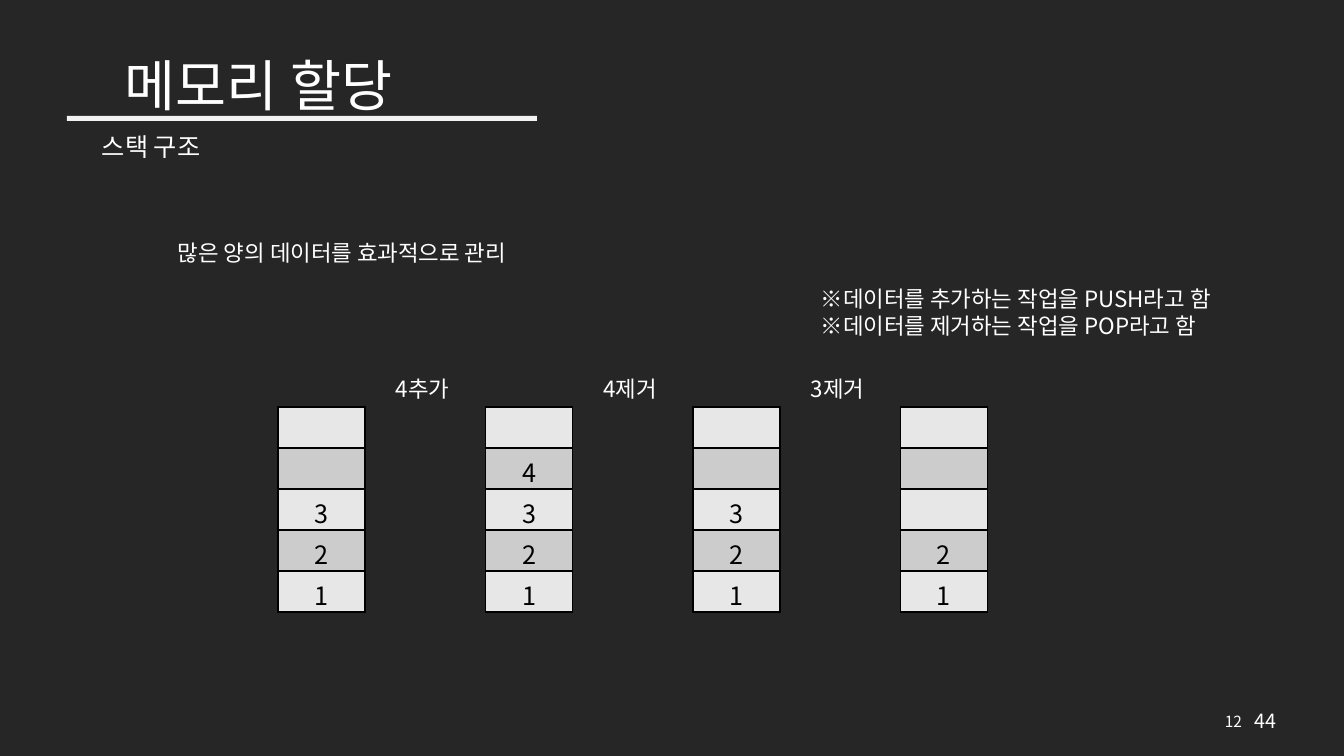
"""Build the memory allocation slide that shows push and pop on a stack."""
import pptx
import pptx.util
import pptx.dml.color
import pptx.enum.shapes
import pptx.enum.text
import pptx.oxml
from dataclasses import dataclass
from lxml import etree

MAIN_NS = "http://schemas.openxmlformats.org/drawingml/2006/main"
ALIGN = pptx.enum.text.PP_ALIGN
ANCHOR = pptx.enum.text.MSO_ANCHOR


@dataclass(frozen=True)
class Theme:
    background: str = "262626"
    light: str = "FFFFFF"
    dark: str = "000000"
    rule: str = "F2F2F2"
    bands: tuple = ("E7E7E7", "CCCCCC")
    font: str = "Noto Sans CJK KR"
    subtitle_font: str = "Calibri"
    title: float = 39.6
    subtitle: float = 18
    cell: float = 18
    body: float = 16
    total: float = 14
    page: float = 11


theme = Theme()


def px(*lengths):
    return [round(length * 914400 / 100.8) for length in lengths]


def write(frame, lines, size, color=theme.light, font=theme.font, align=ALIGN.LEFT, spacing=None):
    for index, line in enumerate(lines):
        paragraph = frame.add_paragraph() if index else frame.paragraphs[0]
        for key, value in {"alignment": align, "line_spacing": spacing}.items():
            setattr(paragraph, key, value)
        run = paragraph.add_run()
        run.text = line
        for key, value in {"name": font, "size": pptx.util.Pt(size)}.items():
            setattr(run.font, key, value)
        run.font.color.rgb = pptx.dml.color.RGBColor.from_string(color)
        etree.SubElement(run.font._element, f"{{{MAIN_NS}}}ea", typeface=font)


deck = pptx.Presentation()
deck.slide_width, deck.slide_height = px(1344, 756)
slide = deck.slides.add_slide(deck.slide_layouts[6])
slide.background.fill.solid()
slide.background.fill.fore_color.rgb = pptx.dml.color.RGBColor.from_string(theme.background)

underline = slide.shapes.add_shape(pptx.enum.shapes.MSO_SHAPE.RECTANGLE, *px(67, 116, 470, 5))
underline.shadow.inherit = False
underline.fill.solid()
underline.fill.fore_color.rgb = pptx.dml.color.RGBColor.from_string(theme.rule)
underline.line.fill.background()

stack_left, stack_top, stack_step = 278, 407, 207.5
cell_width, cell_height, depth = 87, 41, 5
stacks = [3, 4, 3, 2]
operations = ["4추가", "4제거", "3제거"]

texts = [
    ((67, 57, 383, 64), ["메모리 할당"], theme.title,
     {"align": ALIGN.CENTER, "spacing": 0.9}, ANCHOR.MIDDLE),
    ((92, 126, 346, 40), ["스택 구조"], theme.subtitle, {"font": theme.subtitle_font}, ANCHOR.TOP),
    ((168, 234, 391, 37), ["많은 양의 데이터를 효과적으로 관리"], theme.body, {}, ANCHOR.TOP),
    ((811, 280, 449, 65),
     ["※데이터를 추가하는 작업을 PUSH라고 함", "※데이터를 제거하는 작업을 POP라고 함"],
     theme.body, {}, ANCHOR.TOP),
    ((1125, 701, 127, 40), ["12"], theme.page, {"align": ALIGN.RIGHT}, ANCHOR.MIDDLE),
    ((1245, 704, 60, 34), ["44"], theme.total, {}, ANCHOR.TOP),
]
for order, operation in enumerate(operations):
    texts.append(((386 + order * stack_step, 370, 74, 64), [operation], theme.body, {}, ANCHOR.TOP))

for box, lines, size, style, anchor in texts:
    frame = slide.shapes.add_textbox(*px(*box)).text_frame
    for key, value in {"word_wrap": True, "vertical_anchor": anchor}.items():
        setattr(frame, key, value)
    write(frame, lines, size, **style)

for order, count in enumerate(stacks):
    place = px(stack_left + order * stack_step, stack_top, cell_width, cell_height * depth)
    stack = slide.shapes.add_table(depth, 1, *place).table
    for row in range(depth):
        cell = stack.cell(row, 0)
        number = depth - row
        if number <= count:
            write(cell.text_frame, [str(number)], theme.cell, theme.dark, align=ALIGN.CENTER)
        properties = cell._tc.get_or_add_tcPr()
        for side in ("lnL", "lnR", "lnT", "lnB"):
            properties.append(pptx.oxml.parse_xml(
                f'<a:{side} xmlns:a="{MAIN_NS}" w="12700"><a:solidFill>'
                f'<a:srgbClr val="{theme.dark}"/></a:solidFill></a:{side}>'))
        cell.fill.solid()
        cell.fill.fore_color.rgb = pptx.dml.color.RGBColor.from_string(theme.bands[row % 2])

deck.save("out.pptx")
